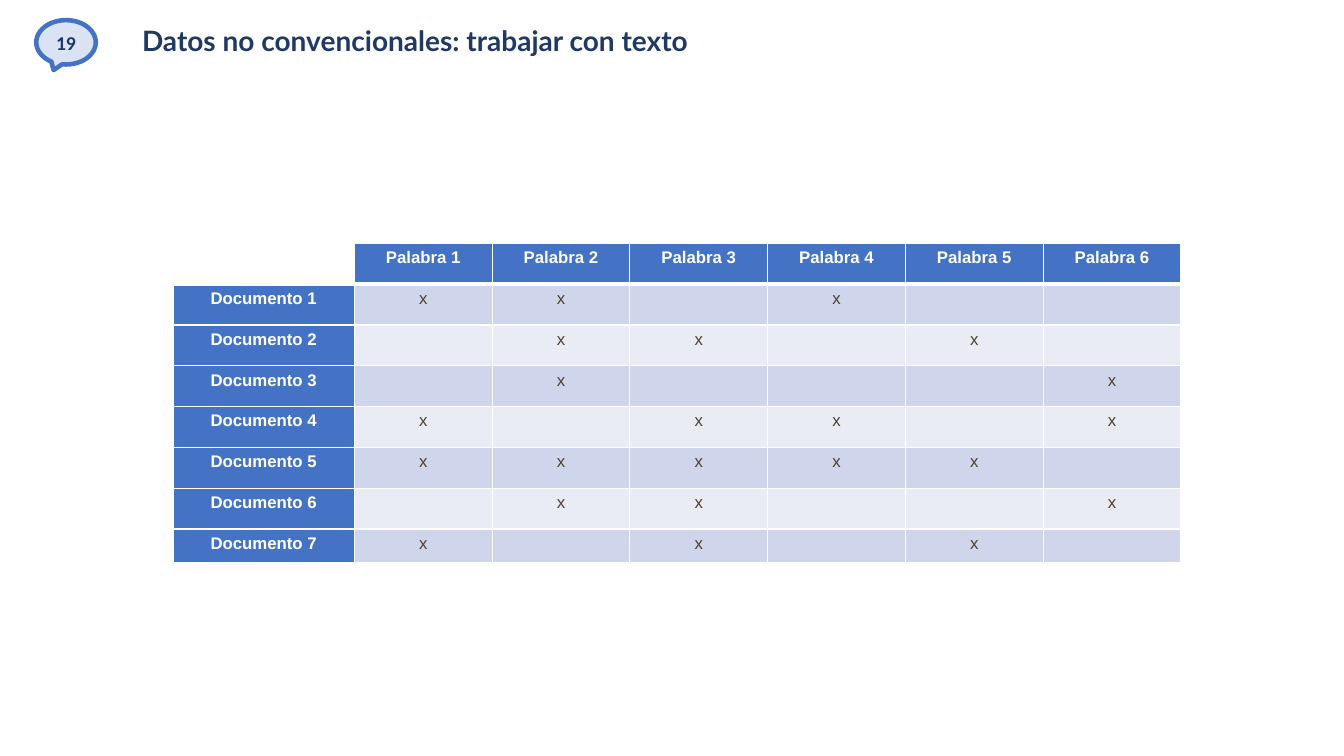
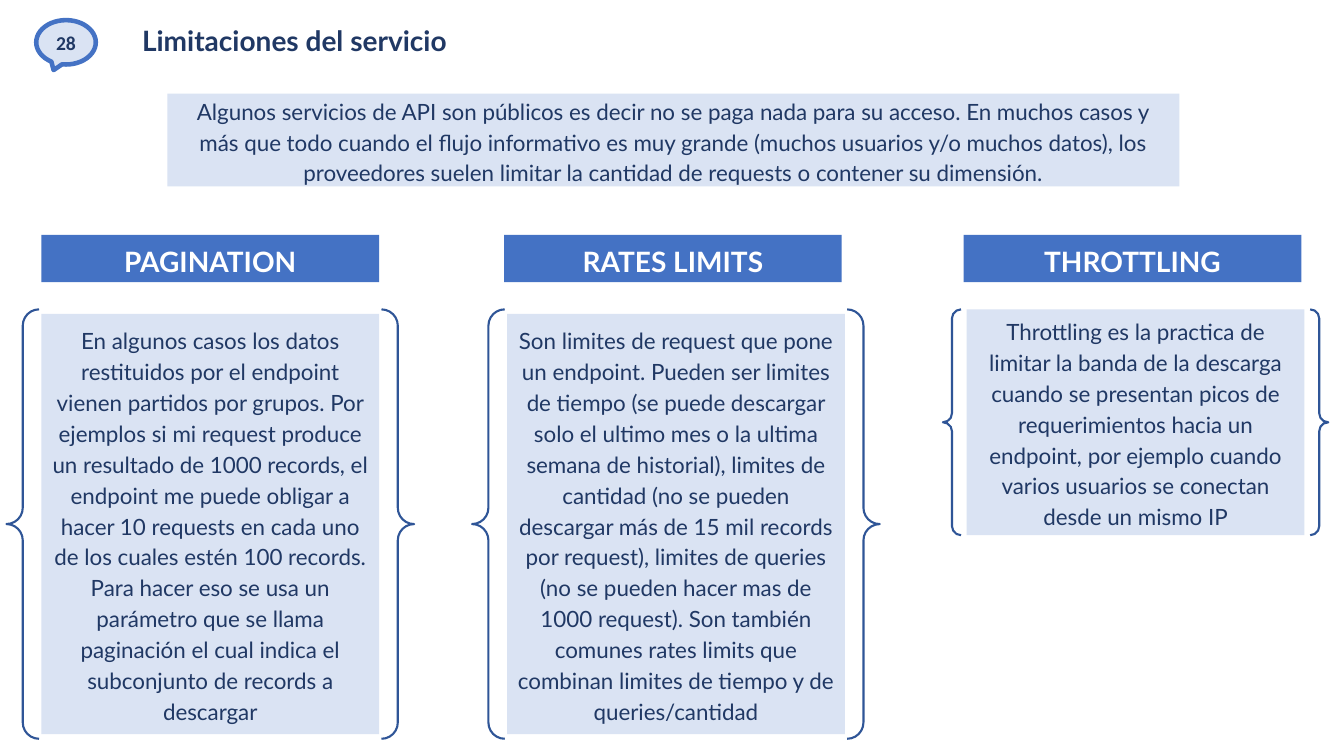
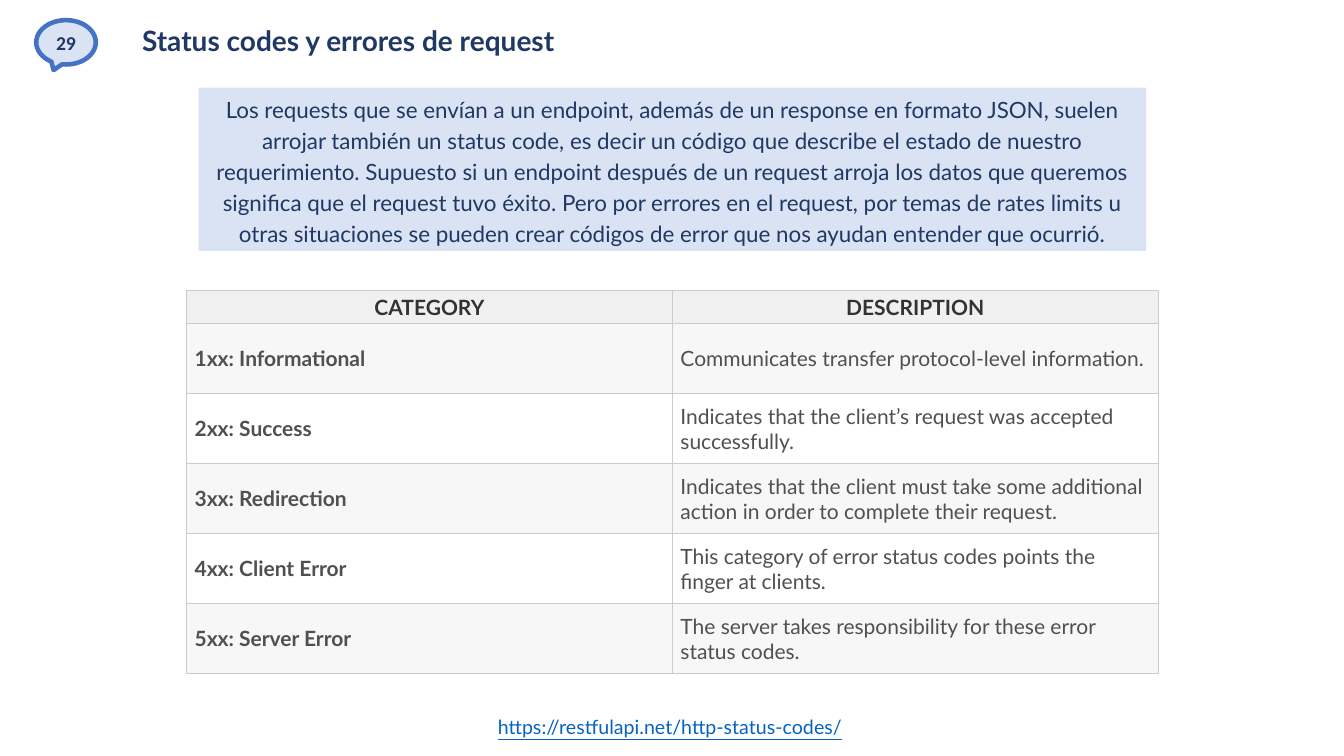
from collections import namedtuple

from lxml import etree
from pptx import Presentation, util as u
from pptx.dml.color import RGBColor
from pptx.enum import shapes, text
from pptx.oxml.ns import qn

NAVY = RGBColor(0x20, 0x38, 0x64)
BLUE = RGBColor(0x44, 0x72, 0xC4)
DEEP_BLUE = RGBColor(0x2F, 0x55, 0x97)
PALE_BLUE = RGBColor(0xDA, 0xE3, 0xF3)
BAND_DARK = RGBColor(0xCF, 0xD5, 0xEA)
BAND_LIGHT = RGBColor(0xE9, 0xEB, 0xF5)
WHITE = RGBColor(0xFF, 0xFF, 0xFF)
BROWN = RGBColor(0x4F, 0x41, 0x2D)
RULE_GREY = RGBColor(0xCC, 0xCC, 0xCC)
HEAD_GREY = RGBColor(0xF0, 0xF0, 0xF0)
ROW_GREY = RGBColor(0xF7, 0xF7, 0xF7)
CHARCOAL = RGBColor(0x33, 0x33, 0x33)
TEXT_GREY = RGBColor(0x50, 0x50, 0x50)
LINK_BLUE = RGBColor(0x05, 0x63, 0xC1)

WIDTH, HEIGHT = u.Inches(13.33), u.Inches(7.5)
LEFT, CENTER = text.PP_ALIGN.LEFT, text.PP_ALIGN.CENTER
TOP, MIDDLE = text.MSO_ANCHOR.TOP, text.MSO_ANCHOR.MIDDLE
PRESET = shapes.MSO_SHAPE

Box = namedtuple("Box", "x y w h")


def across(percent):
    return u.Emu(round(WIDTH * percent / 100))


def down(percent):
    return u.Emu(round(HEIGHT * percent / 100))


def place(box):
    return across(box.x), down(box.y), across(box.w), down(box.h)


def style(paragraph, size, color, bold=False, font="Lato", align=CENTER, spacing=None):
    paragraph.alignment = align
    if spacing:
        paragraph.line_spacing = spacing
    paragraph.font.size = u.Pt(size)
    paragraph.font.name = font
    paragraph.font.bold = bold
    paragraph.font.color.rgb = color
    if not paragraph.text:
        etree.SubElement(paragraph._p, qn("a:endParaRPr"), sz=str(size * 100))


def write(frame, words, size, color, anchor=MIDDLE, wrap=True, **look):
    frame.word_wrap = wrap
    frame.vertical_anchor = anchor
    paragraph = frame.paragraphs[0]
    paragraph.text = words
    style(paragraph, size, color, **look)
    return paragraph


def add_figure(slide, preset, box, fill=None, line=None, weight=1):
    figure = slide.shapes.add_shape(preset, *place(box))
    figure.shadow.inherit = False
    if fill is None:
        figure.fill.background()
    else:
        figure.fill.solid()
        figure.fill.fore_color.rgb = fill
    if line is None:
        figure.line.fill.background()
    else:
        figure.line.color.rgb = line
        figure.line.width = u.Pt(weight)
    return figure


def add_panel(slide, box, words, size=16, fill=PALE_BLUE, color=NAVY, bold=False):
    panel = add_figure(slide, PRESET.RECTANGLE, box, fill)
    write(panel.text_frame, words, size, color, bold=bold, spacing=1.15)


def add_page(deck, number, heading):
    slide = deck.slides.add_slide(deck.slide_layouts[6])
    bubble = add_figure(slide, PRESET.OVAL_CALLOUT, Box(2.7, 2.67, 4.43, 5.87),
                        PALE_BLUE, BLUE, 3.25)
    frame = bubble.text_frame
    frame.margin_left = frame.margin_right = frame.margin_top = frame.margin_bottom = 0
    write(frame, number, 14, NAVY, bold=True, font="Calibri", wrap=False)
    title = slide.shapes.add_textbox(*place(Box(9.83, 2.93, 80.78, 5.6)))
    write(title.text_frame, heading, 20, NAVY, bold=True, align=LEFT, spacing=0.85)
    return slide


def add_grid(slide, x, y, columns, rows):
    box = Box(x, y, sum(columns), sum(rows))
    grid = slide.shapes.add_table(len(rows), len(columns), *place(box)).table
    grid.first_row = grid.horz_banding = False
    for column, share in zip(grid.columns, columns):
        column.width = across(share)
    for row, share in zip(grid.rows, rows):
        row.height = down(share)
    return grid


def paint_cell(cell, fill, edge, weight, bottom=None):
    properties = cell._tc.get_or_add_tcPr()
    for side in "LRTB":
        points = bottom if bottom and side == "B" else weight
        line = etree.SubElement(properties, qn(f"a:ln{side}"), w=str(u.Pt(points)))
        solid = etree.SubElement(line, qn("a:solidFill"))
        etree.SubElement(solid, qn("a:srgbClr"), val=str(edge))
    cell.fill.solid()
    cell.fill.fore_color.rgb = fill


def fill_cell(cell, words, size, color, anchor, **look):
    cell.vertical_anchor = anchor
    paragraph = cell.text_frame.paragraphs[0]
    paragraph.text = words
    style(paragraph, size, color, **look)


def add_word_matrix(slide, x, y, marks):
    words = 6
    grid = add_grid(slide, x, y, [13.5] + [10.25] * words,
                    [5.4] * len(marks) + [4.4])
    for row in range(len(marks) + 1):
        for column in range(words + 1):
            label = row == 0 or column == 0
            if row == column == 0:
                words_shown, fill = "", WHITE
            elif row == 0:
                words_shown, fill = f"Palabra {column}", BLUE
            elif column == 0:
                words_shown, fill = f"Documento {row}", BLUE
            else:
                words_shown = "x" if column in marks[row - 1] else ""
                fill = BAND_DARK if row % 2 else BAND_LIGHT
            cell = grid.cell(row, column)
            paint_cell(cell, fill, WHITE, 1, bottom=3 if row == 0 else None)
            fill_cell(cell, words_shown, 12, WHITE if label else BROWN, TOP,
                      bold=label, font="Arial")


def add_limit(slide, box, heading, body, shift, brace_pad, body_pad):
    heading_height, brace_drop = 6.27, 9.86
    add_panel(slide, box._replace(h=heading_height), heading, 20, BLUE, WHITE, True)
    brace_top, brace_height = box.y + brace_drop, box.h - brace_drop
    left = box.x + shift
    add_panel(slide, Box(left, brace_top + body_pad, box.w, brace_height - 2 * body_pad), body)
    brace = add_figure(slide, PRESET.DOUBLE_BRACE,
                       Box(left - brace_pad, brace_top, box.w + 2 * brace_pad, brace_height),
                       line=DEEP_BLUE, weight=1.5)
    brace.adjustments[0] = 0.04


def add_code_table(slide, x, y, entries):
    grid = add_grid(slide, x, y, [36.15] * 2, [4.44] + [9.26] * len(entries))
    for row, entry in enumerate([("CATEGORY", "DESCRIPTION")] + entries):
        head = row == 0
        fill = HEAD_GREY if head else ROW_GREY if row % 2 else WHITE
        for column, words in enumerate(entry):
            cell = grid.cell(row, column)
            cell.margin_left = cell.margin_right = u.Inches(0.08)
            cell.margin_top = cell.margin_bottom = u.Inches(0.04)
            paint_cell(cell, fill, RULE_GREY, 0.75)
            fill_cell(cell, words, 15, CHARCOAL if head else TEXT_GREY, MIDDLE,
                      bold=head or column == 0, align=CENTER if head else LEFT)


def add_link(slide, box, address):
    link = slide.shapes.add_textbox(*place(box))
    paragraph = write(link.text_frame, address, 14, LINK_BLUE, anchor=TOP,
                      wrap=False, align=LEFT)
    paragraph.font.underline = True


def build_text_data(deck):
    slide = add_page(deck, "19", "Datos no convencionales: trabajar con texto")
    add_word_matrix(slide, 12.87, 32.2, [
        (1, 2, 4), (2, 3, 5), (2, 6), (1, 3, 4, 6), (1, 2, 3, 4, 5), (2, 3, 6), (1, 3, 5)])


def build_limits(deck):
    slide = add_page(deck, "28", "Limitaciones del servicio")
    add_panel(slide, Box(12.45, 12.4, 75.3, 12.27),
              "Algunos servicios de API son públicos es decir no se paga nada para su acceso. "
              "En muchos casos y más que todo cuando el flujo informativo es muy grande (muchos "
              "usuarios y/o muchos datos), los proveedores suelen limitar la cantidad de requests "
              "o contener su dimensión.")
    top, width, tall, short = 31.07, 25.13, 66.66, 39.73
    add_limit(slide, Box(3.08, top, width, tall), "PAGINATION",
              "En algunos casos los datos restituidos por el endpoint vienen partidos por grupos. "
              "Por ejemplos si mi request produce un resultado de 1000 records, el endpoint me "
              "puede obligar a hacer 10 requests en cada uno de los cuales estén 100 records. "
              "Para hacer eso se usa un parámetro que se llama paginación el cual indica el "
              "subconjunto de records a descargar", 0, 2.6, 0.6)
    add_limit(slide, Box(37.5, top, width, tall), "RATES LIMITS",
              "Son limites de request que pone un endpoint. Pueden ser limites de tiempo (se puede "
              "descargar solo el ultimo mes o la ultima semana de historial), limites de cantidad "
              "(no se pueden descargar más de 15 mil records por request), limites de queries (no "
              "se pueden hacer mas de 1000 request). Son también comunes rates limits que combinan "
              "limites de tiempo y de queries/cantidad", 0.23, 2.6, 0.6)
    add_limit(slide, Box(71.7, top, width, short), "THROTTLING",
              "Throttling es la practica de limitar la banda de la descarga cuando se presentan "
              "picos de requerimientos hacia un endpoint, por ejemplo cuando varios usuarios se "
              "conectan desde un mismo IP", 0.23, 1.77, 0)


def build_status_codes(deck):
    slide = add_page(deck, "29", "Status codes y errores de request")
    add_code_table(slide, 13.88, 38.4, [
        ("1xx: Informational", "Communicates transfer protocol-level information."),
        ("2xx: Success", "Indicates that the client’s request was accepted successfully."),
        ("3xx: Redirection", "Indicates that the client must take some additional action in "
                             "order to complete their request."),
        ("4xx: Client Error", "This category of error status codes points the finger at clients."),
        ("5xx: Server Error", "The server takes responsibility for these error status codes."),
    ])
    add_panel(slide, Box(14.78, 11.6, 70.5, 21.6),
              "Los requests que se envían a un endpoint, además de un response en formato JSON, "
              "suelen arrojar también un status code, es decir un código que describe el estado de "
              "nuestro requerimiento. Supuesto si un endpoint después de un request arroja los "
              "datos que queremos significa que el request tuvo éxito. Pero por errores en el "
              "request, por temas de rates limits u otras situaciones se pueden crear códigos de "
              "error que nos ayudan entender que ocurrió.")
    add_link(slide, Box(36.3, 93.87, 27.45, 4.53), "https://restfulapi.net/http-status-codes/")


def main():
    deck = Presentation()
    deck.slide_width, deck.slide_height = WIDTH, HEIGHT
    build_text_data(deck)
    build_limits(deck)
    build_status_codes(deck)
    deck.save("out.pptx")


if __name__ == "__main__":
    main()
